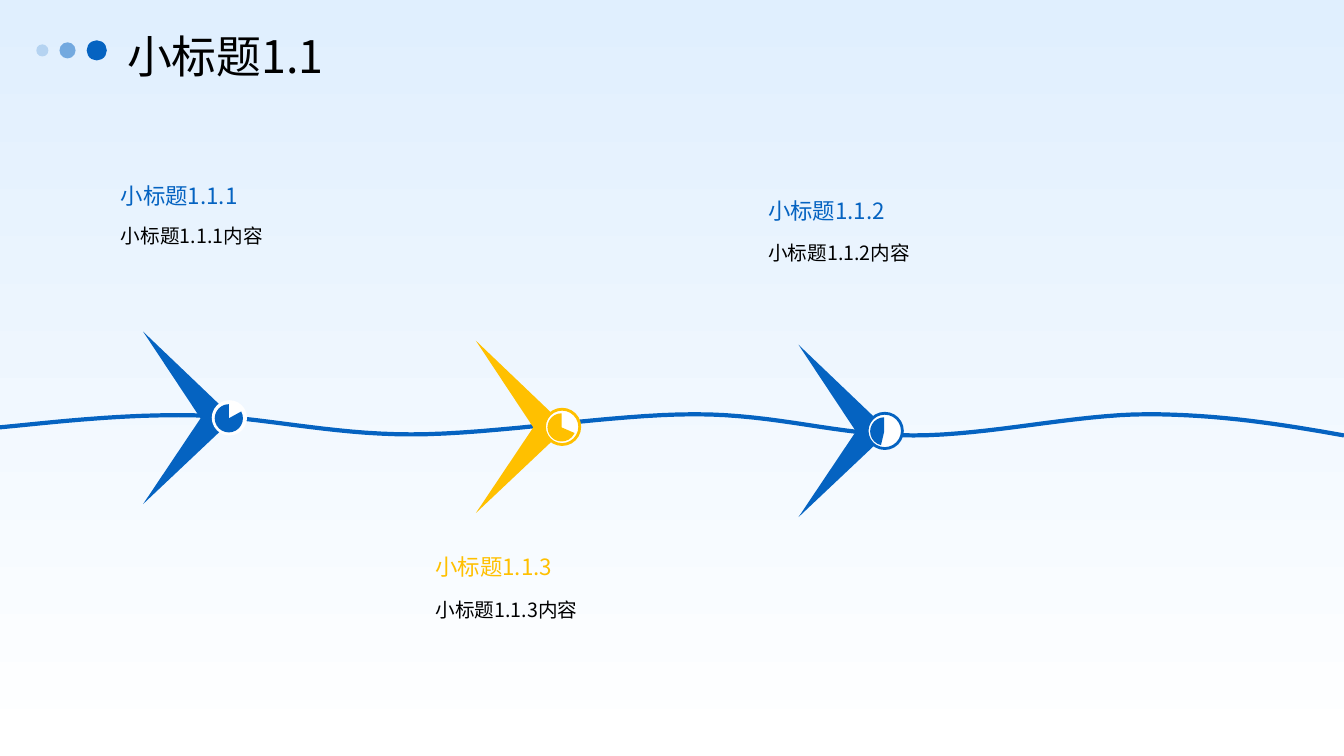
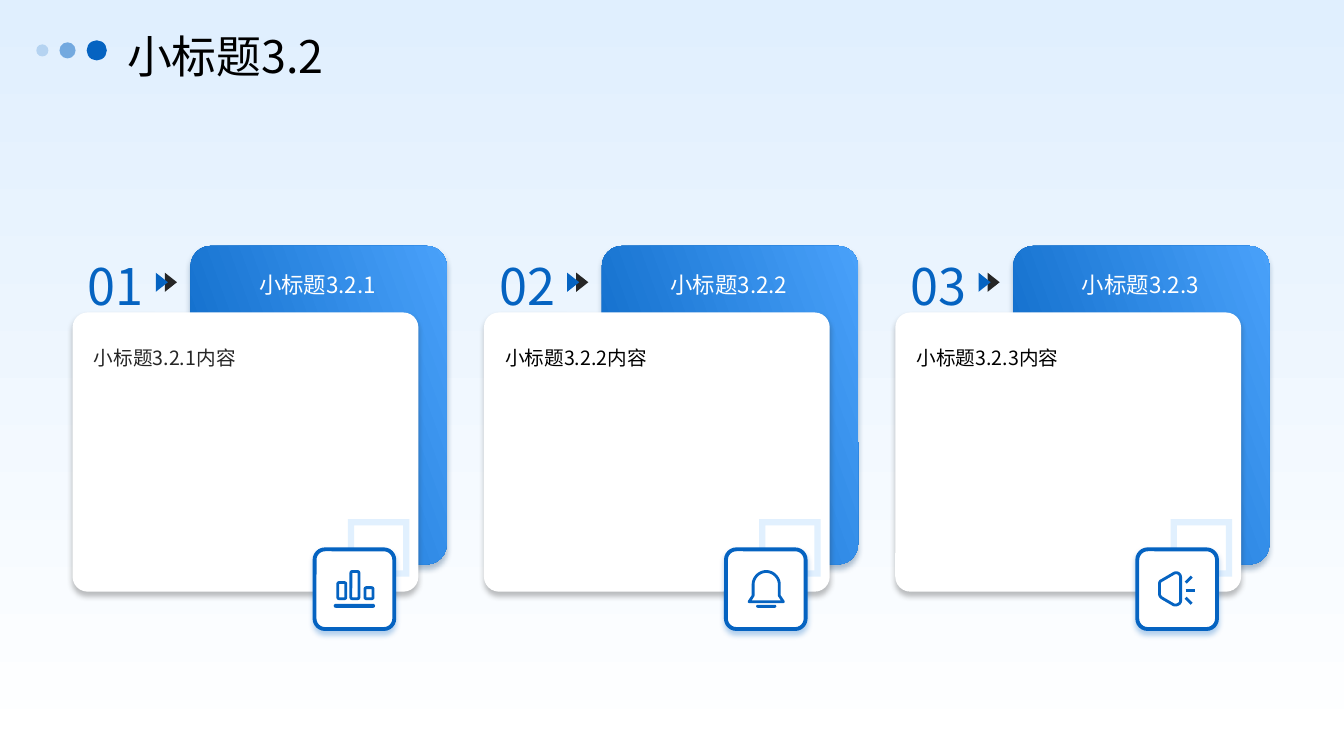
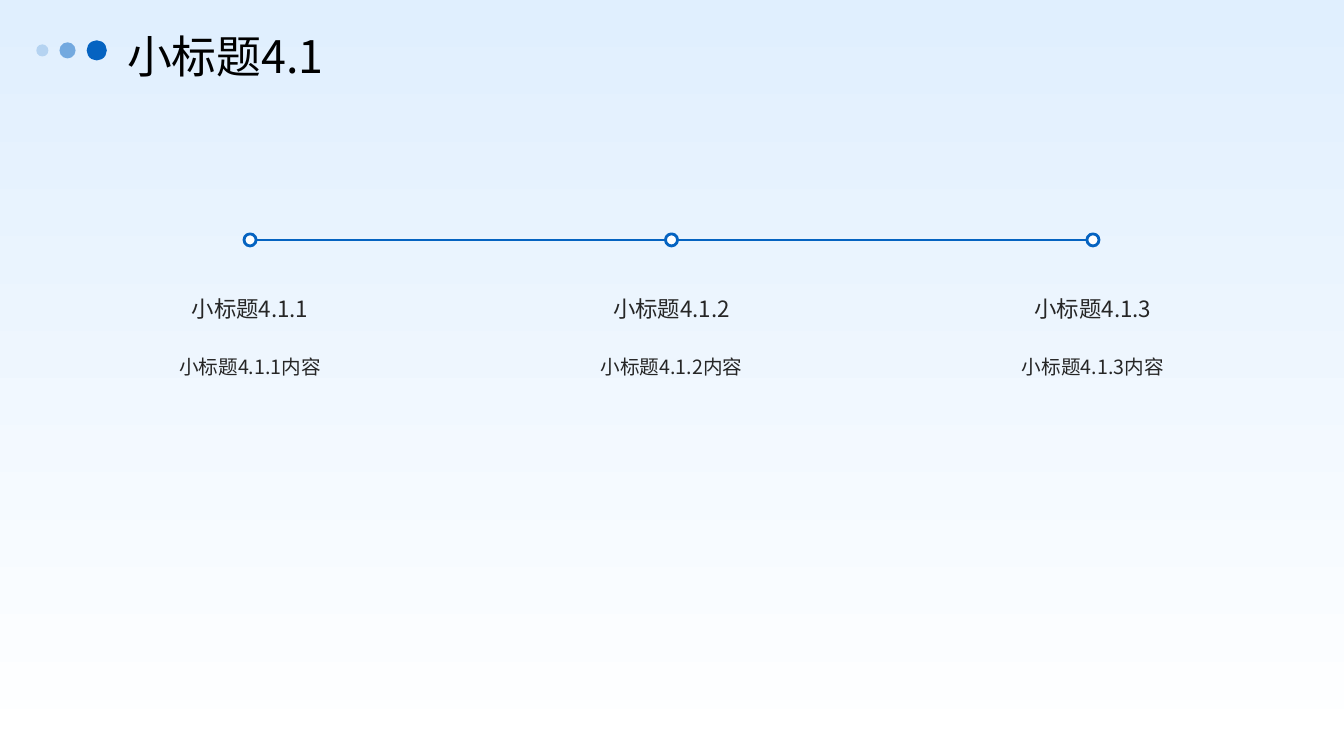
from lxml import etree
from pptx import Presentation
from pptx import util as u
from pptx.dml.color import RGBColor
from pptx.enum import shapes, text
from pptx.oxml.ns import qn

BLUE = RGBColor(0x05, 0x63, 0xC1)
SKY = RGBColor(0x49, 0xA1, 0xFA)
PALE = RGBColor(0x85, 0xC1, 0xFC)
MIST = RGBColor(0xE0, 0xEF, 0xFE)
NAVY = RGBColor(0x03, 0x31, 0x60)
GOLD = RGBColor(0xFF, 0xC0, 0x00)
INK = RGBColor(0x26, 0x26, 0x26)
BLACK = RGBColor(0, 0, 0)
WHITE = RGBColor(0xFF, 0xFF, 0xFF)
FONT = "Noto Sans CJK SC"
LEFT, CENTER = text.PP_ALIGN.LEFT, text.PP_ALIGN.CENTER
TOP, MIDDLE, BOTTOM = (text.MSO_ANCHOR.TOP, text.MSO_ANCHOR.MIDDLE,
                       text.MSO_ANCHOR.BOTTOM)
KIND = shapes.MSO_SHAPE


def inches(*lengths):
    return [u.Inches(length) for length in lengths]


def sub(parent, tag, **attributes):
    return etree.SubElement(parent, qn(tag), {k: str(v) for k, v in attributes.items()})


def gradient(fill, start, end, angle):
    fill.gradient()
    fill.gradient_angle = angle
    for stop, position, color in zip(fill.gradient_stops, (0, 1), (start, end)):
        stop.position = position
        stop.color.rgb = color


def trace(start, steps, pieces=16):
    """Return the points of an outline; six-number steps are cubic curves."""
    points = [start]
    for step in steps:
        if len(step) == 2:
            points.append(step)
            continue
        corners = [points[-1], step[:2], step[2:4], step[4:]]
        for i in range(1, pieces + 1):
            t = i / pieces
            weights = ((1 - t) ** 3, 3 * t * (1 - t) ** 2, 3 * t * t * (1 - t), t ** 3)
            points.append(tuple(sum(w * c[axis] for w, c in zip(weights, corners))
                                for axis in (0, 1)))
    return points


class Deck:
    """Hold the shared style and the slide being drawn."""

    def __init__(self):
        self.file = Presentation()
        self.file.slide_width, self.file.slide_height = inches(13.33, 7.5)
        gradient(self.file.slide_master.background.fill, MIST, WHITE, 270)
        self.slide = None

    def new_slide(self, title):
        self.slide = self.file.slides.add_slide(self.file.slide_layouts[5])
        heading = self.slide.shapes.title
        heading.left, heading.top, heading.width, heading.height = inches(
            1.26, 0.26, 11.89, 0.47)
        self.set_text(heading, title, 32, BLACK, 1.2, LEFT, MIDDLE)
        for left, size, alpha in ((0.86, 0.2, 100), (0.59, 0.16, 50), (0.36, 0.12, 20)):
            self.shape(KIND.OVAL, left, 0.5 - size / 2, size, size, BLUE, alpha=alpha)

    def set_text(self, box, words, size, color, spacing, align, anchor):
        frame = box.text_frame
        frame.text = words
        frame.word_wrap = True
        frame.auto_size = text.MSO_AUTO_SIZE.NONE
        frame.vertical_anchor = anchor
        frame.margin_left = frame.margin_top = frame.margin_right = frame.margin_bottom = 0
        line = frame.paragraphs[0]
        line.alignment = align
        line.line_spacing = spacing
        line.font.size = u.Pt(size)
        line.font.color.rgb = color
        line.font.name = FONT
        sub(line.font._rPr, "a:ea", typeface=FONT)

    def label(self, left, top, width, height, words, size, color,
              spacing=1.5, align=LEFT, anchor=TOP):
        box = self.slide.shapes.add_textbox(*inches(left, top, width, height))
        self.set_text(box, words, size, color, spacing, align, anchor)

    def paint(self, shape, fill, line, weight):
        shape.shadow.inherit = False
        if fill is None:
            shape.fill.background()
        else:
            shape.fill.solid()
            shape.fill.fore_color.rgb = fill
        if line is None:
            shape.line.fill.background()
        else:
            shape.line.color.rgb = line
            shape.line.width = u.Pt(weight)

    def shape(self, kind, left, top, width, height, fill=None, line=None, weight=2,
              adjust=(), alpha=100, shadow=None, turn=0):
        shape = self.slide.shapes.add_shape(kind, *inches(left, top, width, height))
        self.paint(shape, fill, line, weight)
        shape.rotation = turn
        for i, value in enumerate(adjust):
            shape.adjustments[i] = value
        properties = shape._element.spPr
        if alpha < 100:
            color = properties.find(qn("a:solidFill")).find(qn("a:srgbClr"))
            sub(color, "a:alpha", val=alpha * 1000)
        if shadow is not None:
            cast = sub(properties.find(qn("a:effectLst")), "a:outerShdw",
                       blurRad=u.Pt(4), dist=u.Pt(3), dir=5400000,
                       algn="t", rotWithShape=0)
            sub(sub(cast, "a:srgbClr", val=shadow), "a:alpha", val=30000)
        return shape

    def outline(self, points, fill=None, line=None, weight=2, close=True):
        places = [inches(*point) for point in points]
        builder = self.slide.shapes.build_freeform(*places[0])
        builder.add_line_segments(places[1:], close=close)
        self.paint(builder.convert_to_shape(), fill, line, weight)

    def line(self, x1, y1, x2, y2, weight):
        line = self.slide.shapes.add_connector(
            shapes.MSO_CONNECTOR.STRAIGHT, *inches(x1, y1, x2, y2))
        line.line.color.rgb = BLUE
        line.line.width = u.Pt(weight)
        sub(line._element.spPr, "a:effectLst")

    def fish(self, left, top, color, edge, start):
        self.outline([(left, top), (left + 0.9, top + 0.86), (left, top + 1.71),
                      (left + 0.57, top + 0.86)], color)
        self.shape(KIND.OVAL, left + 0.68, top + 0.68, 0.35, 0.35, WHITE, edge)
        self.shape(KIND.PIE, left + 0.71, top + 0.72, 0.28, 0.28, color,
                   adjust=(start, 162))

    def card(self, left, number, name, ink):
        back = self.shape(KIND.ROUNDED_RECTANGLE, left + 1.17, 2.44, 2.54, 3.16, BLUE,
                          adjust=[0.078], shadow=NAVY)
        gradient(back.fill, BLUE, SKY, 20)
        self.label(left + 0.08, 2.21, 0.7, 0.94, number, 36, BLUE,
                   align=CENTER, anchor=MIDDLE)
        for offset, color in ((0.88, INK), (0.79, BLUE)):
            self.shape(KIND.ISOSCELES_TRIANGLE, left + offset, 2.74, 0.19, 0.12, color,
                       turn=90)
        self.shape(KIND.ROUNDED_RECTANGLE, left, 3.1, 3.43, 2.77, WHITE,
                   adjust=[0.054], shadow=INK)
        self.label(left + 1.15, 2.47, 2.56, 0.58, name, 16, WHITE,
                   align=CENTER, anchor=MIDDLE)
        self.label(left + 0.21, 3.32, 2.99, 2.3, name + "内容", 14, ink)
        self.shape(KIND.FRAME, left + 2.73, 5.15, 0.61, 0.57, PALE,
                   adjust=[0.108], alpha=24)
        self.shape(KIND.ROUNDED_RECTANGLE, left + 2.4, 5.45, 0.79, 0.79, WHITE, BLUE,
                   2.75, adjust=[0.13], shadow=BLUE)

    def bars_icon(self, left):
        for offset, top in ((0.23, 5.78), (0.36, 5.67), (0.5, 5.83)):
            self.shape(KIND.ROUNDED_RECTANGLE, left + offset, top, 0.08, 5.94 - top,
                       line=BLUE)
        self.shape(KIND.ROUNDED_RECTANGLE, left + 0.19, 5.99, 0.41, 0.04, BLUE,
                   adjust=[0.5])

    def bell_icon(self, left):
        dome = trace((0.23, 5.97), [
            (0.27, 5.91), (0.27, 5.8), (0.27, 5.73, 0.33, 5.67, 0.4, 5.67),
            (0.47, 5.67, 0.53, 5.73, 0.53, 5.8), (0.53, 5.91), (0.57, 5.97)])
        self.outline([(left + x, y) for x, y in dome], line=BLUE)
        self.shape(KIND.ROUNDED_RECTANGLE, left + 0.3, 6, 0.2, 0.03, BLUE, adjust=[0.5])

    def speaker_icon(self, left):
        horn = trace((0.22, 5.79), [
            (0.22, 5.89), (0.22, 5.91, 0.23, 5.92, 0.24, 5.93), (0.36, 6),
            (0.39, 6.01, 0.43, 5.99, 0.43, 5.96), (0.43, 5.73),
            (0.43, 5.69, 0.39, 5.67, 0.36, 5.69), (0.24, 5.76),
            (0.23, 5.76, 0.22, 5.78, 0.22, 5.79)])
        self.outline([(left + x, y) for x, y in horn], line=BLUE)
        for x, y1, y2 in ((0.54, 5.93, 5.99), (0.57, 5.86, 5.86), (0.54, 5.78, 5.72)):
            self.line(left + 0.48, y1, left + x, y2, 2)


def river_slide(deck):
    deck.new_slide("小标题1.1")
    wave = trace((0, 4.24), [
        (0.61, 4.18, 1.22, 4.11, 1.9, 4.12), (2.58, 4.13, 3.25, 4.31, 4.08, 4.31),
        (4.91, 4.31, 6.06, 4.11, 6.89, 4.11), (7.72, 4.11, 8.31, 4.32, 9.06, 4.32),
        (9.81, 4.32, 10.67, 4.11, 11.38, 4.11), (12.09, 4.11, 12.71, 4.21, 13.33, 4.32)])
    deck.outline(wave, line=BLUE, weight=3, close=False)
    for fish in ((1.42, 3.29, BLUE, None, 198.71), (4.72, 3.38, GOLD, GOLD, 14.1),
                 (7.92, 3.42, BLUE, BLUE, 61.93)):
        deck.fish(*fish)
    for left, top, detail_top, name, color in (
            (1.2, 1.36, 2.11, "小标题1.1.1", BLUE),
            (7.62, 1.51, 2.27, "小标题1.1.2", BLUE),
            (4.32, 5.04, 5.82, "小标题1.1.3", GOLD)):
        deck.label(left, top, 4.74, 0.71, name, 16, color, 1.3, anchor=BOTTOM)
        deck.label(left, detail_top, 4.74, 1.1, name + "内容", 14, BLACK)


def cards_slide(deck):
    deck.new_slide("小标题3.2")
    icons = (deck.bars_icon, deck.bell_icon, deck.speaker_icon)
    for i, (icon, ink) in enumerate(zip(icons, (INK, BLACK, BLACK))):
        left = 0.72 + 4.08 * i
        deck.card(left, f"0{i + 1}", f"小标题3.2.{i + 1}", ink)
        icon(left + 2.4)


def steps_slide(deck):
    deck.new_slide("小标题4.1")
    centers = [2.48 + 4.18 * i for i in range(3)]
    deck.line(centers[0], 2.38, centers[-1], 2.38, 1)
    for i, center in enumerate(centers, 1):
        name = f"小标题4.1.{i}"
        deck.shape(KIND.OVAL, center - 0.06, 2.32, 0.12, 0.12, WHITE, BLUE)
        deck.label(center - 1.76, 2.67, 3.52, 0.71, name, 16, INK, 1.3, CENTER, MIDDLE)
        deck.label(center - 1.76, 3.4, 3.52, 2.23, name + "内容", 14, INK, align=CENTER)


def main():
    deck = Deck()
    river_slide(deck)
    cards_slide(deck)
    steps_slide(deck)
    deck.file.save("out.pptx")


if __name__ == "__main__":
    main()
